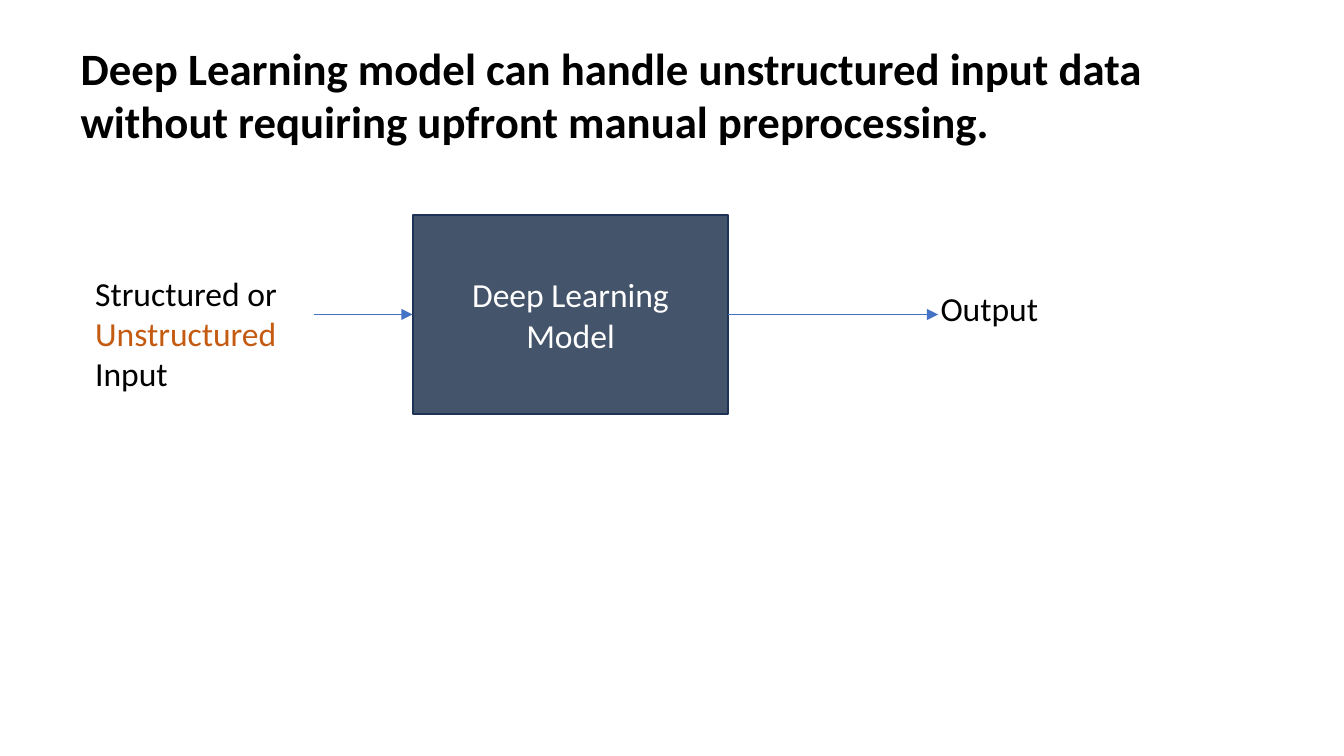
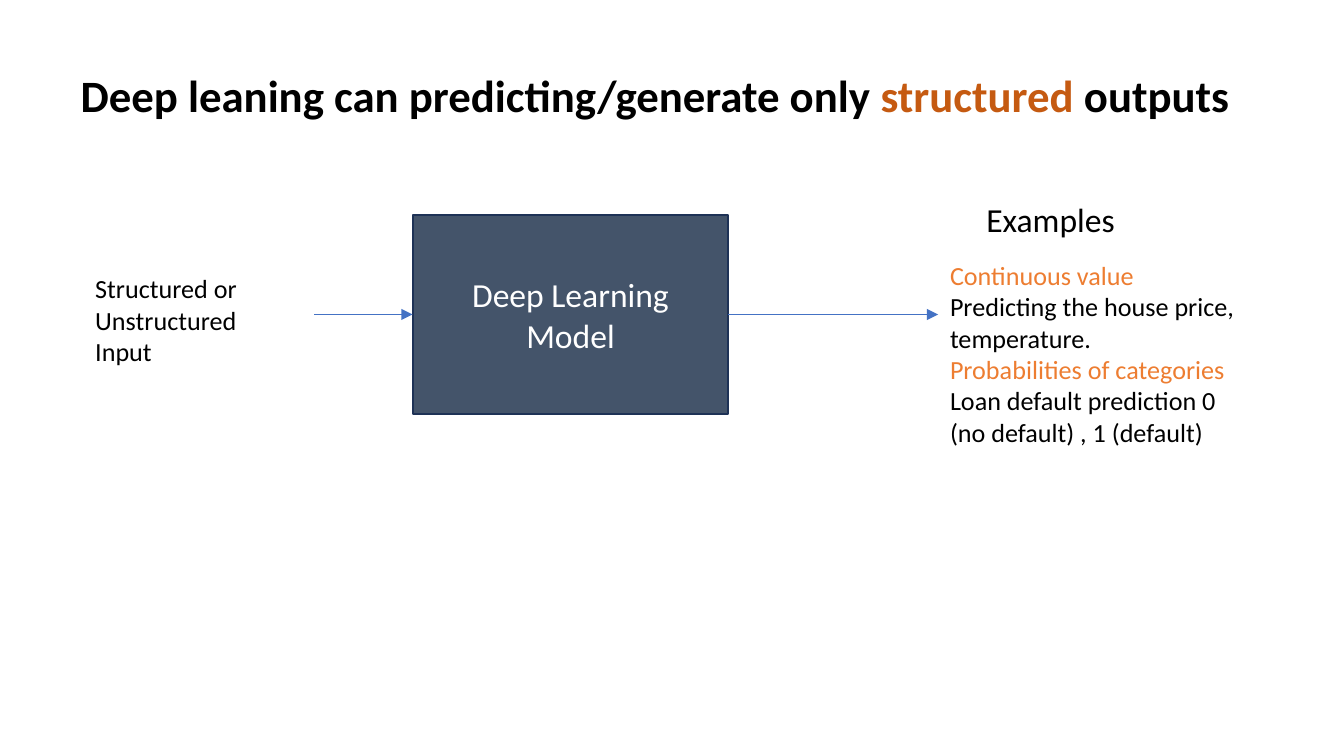
from dataclasses import dataclass

from lxml.etree import SubElement
from pptx import Presentation
from pptx.dml.color import RGBColor
from pptx.enum.shapes import MSO_CONNECTOR, MSO_SHAPE
from pptx.enum.text import MSO_ANCHOR, MSO_AUTO_SIZE, PP_ALIGN
from pptx.oxml.ns import qn
from pptx.util import Pt

PX = 9144  # EMU per px, 100 px to the inch


@dataclass(frozen=True)
class Theme:
    font: str = "Calibri"
    ink: str = "000000"
    paper: str = "FFFFFF"
    accent: str = "C55A11"
    example: str = "ED7D31"
    model: str = "44546A"
    model_edge: str = "1E3256"
    arrow: str = "4472C4"
    title: int = 24
    label: int = 18
    detail: int = 14


T = Theme()
SLIDE_WIDTH = 1000
TITLE_BOX = (50, 25, 900, 90)
DIAGRAM_BOX = (61, 160, 637, 148)


def rgb(color):
    return RGBColor.from_string(color)


def emu(*lengths):
    return [n * PX for n in lengths]


def write(sp, paragraphs, *, size=T.label, color=T.ink, bold=False,
          align=PP_ALIGN.LEFT, anchor=MSO_ANCHOR.TOP, fit=MSO_AUTO_SIZE.NONE):
    """Fill a shape; a paragraph is a list of (text, colour or None) runs."""
    tf = sp.text_frame
    tf.word_wrap = True
    tf.auto_size = fit
    tf.vertical_anchor = anchor
    for i, runs in enumerate(paragraphs):
        p = tf.add_paragraph() if i else tf.paragraphs[0]
        p.alignment = align
        for text, run_color in runs:
            r = p.add_run()
            r.text = text
            r.font.name = T.font
            r.font.size = Pt(size)
            r.font.bold = bold
            r.font.color.rgb = rgb(run_color or color)


def add_label(s, box, paragraphs, **fmt):
    sp = s.shapes.add_textbox(*emu(*box))
    write(sp, paragraphs, fit=MSO_AUTO_SIZE.SHAPE_TO_FIT_TEXT, **fmt)


def add_arrow(s, x1, x2, y):
    line = s.shapes.add_connector(MSO_CONNECTOR.STRAIGHT, *emu(x1, y, x2, y))
    line.line.color.rgb = rgb(T.arrow)
    line.line.width = Pt(0.5)
    sp_pr = line._element.spPr
    SubElement(sp_pr.find(qn("a:ln")), qn("a:tailEnd"), type="triangle")
    SubElement(sp_pr, qn("a:effectLst"))


def add_titled_slide(prs, runs):
    s = prs.slides.add_slide(prs.slide_layouts[5])
    sp = s.shapes.title
    sp.left, sp.top, sp.width, sp.height = emu(*TITLE_BOX)
    write(sp, [runs], size=T.title, bold=True, anchor=MSO_ANCHOR.MIDDLE)
    return s


def add_diagram(s, box, input_runs, input_size, input_height):
    """Input label, model block and the arrows into and out of it."""
    x, y, w, h = box
    model_x, model_w = x + 246, 235
    mid = y + h // 2

    sp = s.shapes.add_shape(MSO_SHAPE.RECTANGLE, *emu(model_x, y, model_w, h))
    sp.shadow.inherit = False
    sp.fill.solid()
    sp.fill.fore_color.rgb = rgb(T.model)
    sp.line.color.rgb = rgb(T.model_edge)
    sp.line.width = Pt(1)
    write(sp, [[("Deep Learning Model", None)]], color=T.paper,
          align=PP_ALIGN.CENTER, anchor=MSO_ANCHOR.MIDDLE)

    add_arrow(s, x + 173, model_x, mid)
    add_arrow(s, model_x + model_w, x + w, mid)
    add_label(s, (x, y + 38, 165, input_height), [input_runs], size=input_size)


def add_examples(s, box):
    """Heading over pairs of output kind and example."""
    x, y, w, h = box
    add_label(s, (x + 27, y, 171, 40), [[("Examples", None)]])
    examples = {
        "Continuous value": "Predicting the house price, temperature.",
        "Probabilities of categories":
            "Loan default prediction 0 (no default) , 1 (default)",
    }
    lines = []
    for kind, example in examples.items():
        lines += [[(kind, T.example)], [(example, None)]]
    add_label(s, (x, y + 45, w, h - 45), lines, size=T.detail)


def input_slide(prs):
    s = add_titled_slide(prs, [
        ("Deep Learning model can handle unstructured input data "
         "without requiring upfront manual preprocessing.", None)])
    runs = [("Structured or ", None), ("Unstructured", T.accent),
            (" Input", None)]
    add_diagram(s, DIAGRAM_BOX, runs, T.label, 101)
    add_label(s, (690, 209, 103, 40), [[("Output", None)]])


def output_slide(prs):
    s = add_titled_slide(prs, [
        ("Deep leaning can predicting/generate only ", None),
        ("structured", T.accent), (" outputs", None)])
    runs = [("Structured or Unstructured Input", None)]
    add_diagram(s, DIAGRAM_BOX, runs, T.detail, 81)
    add_examples(s, (697, 143, 235, 196))


def main():
    prs = Presentation()
    # Widescreen, 16:9
    prs.slide_width = SLIDE_WIDTH * PX
    prs.slide_height = prs.slide_width * 9 // 16
    input_slide(prs)
    output_slide(prs)
    prs.save("out.pptx")


if __name__ == "__main__":
    main()
